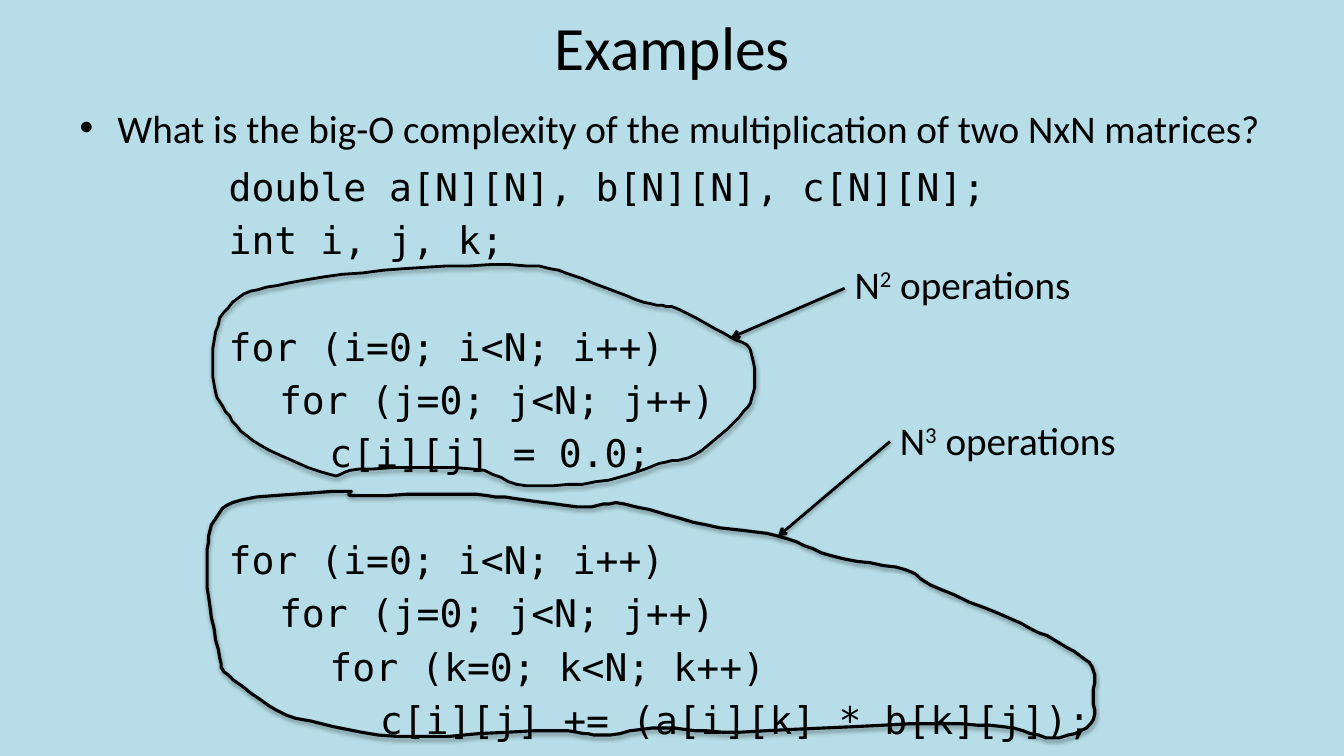
"""Build the slide on the big-O complexity of matrix multiplication."""
from dataclasses import dataclass
from typing import Any, NamedTuple

from lxml.etree import SubElement
from pptx import Presentation
from pptx.dml.color import RGBColor
from pptx.enum.shapes import MSO_CONNECTOR
from pptx.enum.text import MSO_ANCHOR, MSO_AUTO_SIZE, PP_ALIGN
from pptx.oxml.ns import qn
from pptx.util import Pt


class Point(NamedTuple):
    """A place on the page, in points."""
    x: float
    y: float


class Area(NamedTuple):
    """A rectangle on the page, in points."""
    left: float
    top: float
    width: float
    height: float


@dataclass(frozen=True)
class Theme:
    """Colours, fonts and type sizes."""
    background: RGBColor = RGBColor(0xB7, 0xDE, 0xE8)
    ink: RGBColor = RGBColor(0, 0, 0)
    text_font: str = "Calibri"
    code_font: str = "DejaVu Sans Mono"
    title_size: float = 44
    text_size: float = 28
    code_size: float = 27.2


@dataclass(frozen=True)
class CodeLine:
    """One line of code with its nesting depth."""
    text: str
    depth: int = 0
    starts_block: bool = False


@dataclass(frozen=True)
class Loop:
    """Bends of a hand-drawn loop, side by side and anticlockwise from the top right."""
    top: list[tuple[float, float]]
    left: list[tuple[float, float]]
    bottom: list[tuple[float, float]]
    right: list[tuple[float, float]]
    line_width: float

    def bends(self) -> list[Point]:
        """Return the bends of all four sides in drawing order."""
        return [Point(*bend) for bend in self.top + self.left + self.bottom + self.right]


@dataclass(frozen=True)
class Callout:
    """A loop round some code, with the label and arrow that explain it."""
    power: str
    label: Area
    arrow_start: Point
    arrow_tip: Point
    loop: Loop


THEME = Theme()
TITLE_AREA = Area(156.24, -12.24, 648, 90)
QUESTION_AREA = Area(49.68, 70.56, 864, 401.76)
CODE_AREA = Area(156.24, 113.04, 648, 403.92)
BULLET_INDENT = 27
TAB_WIDTH = 36
CODE_PITCH = 38
LINE_GAP = 0.2 * THEME.code_size
BLOCK_GAP = LINE_GAP + CODE_PITCH
STEPS_PER_BEND = 6
ARROW_WIDTH = 2

QUESTION = "What is the big-O complexity of the multiplication of two NxN matrices?"
CODE = [
    CodeLine("double a[N][N], b[N][N], c[N][N];"),
    CodeLine("int i, j, k;"),
    CodeLine("for (i=0; i<N; i++)", starts_block=True),
    CodeLine("for (j=0; j<N; j++)", depth=1),
    CodeLine("c[i][j] = 0.0;", depth=2),
    CodeLine("for (i=0; i<N; i++)", starts_block=True),
    CodeLine("for (j=0; j<N; j++)", depth=1),
    CodeLine("for (k=0; k<N; k++)", depth=2),
    CodeLine("c[i][j] += (a[i][k] * b[k][j]);", depth=3),
]

CLEARING_LOOP = Loop(
    top=[(460, 216), (416, 199), (376, 189.5), (288, 192), (207, 202)],
    left=[(170, 213), (154, 237), (153, 275), (163.5, 297), (186, 318)],
    bottom=[(236, 339), (257, 335), (337, 335), (376, 347), (435, 343), (471, 331), (496, 325)],
    right=[(528, 298), (539, 277), (536, 250), (522, 241), (485, 221)],
    line_width=2,
)
PRODUCT_LOOP = Loop(
    top=[(446, 360), (418, 362), (374, 357), (331, 353), (255, 354), (246, 351), (173, 357)],
    left=[(153, 372), (148, 396), (149, 426), (157, 470), (163, 482), (197, 507)],
    bottom=[(222, 515), (284, 526), (396, 522), (429, 525), (474, 520), (529, 523), (649, 517),
            (716, 519), (752, 527)],
    right=[(779, 517), (781, 495), (780, 476), (758, 460), (722, 442), (665, 418), (647, 407),
           (594, 397), (556, 383), (505, 375)],
    line_width=2.25,
)
CALLOUTS = [
    Callout("2", Area(603.36, 182.16, 177.12, 41.04), Point(603.36, 205.92), Point(522, 241.2),
            CLEARING_LOOP),
    Callout("3", Area(635.76, 293.76, 177.12, 41.04), Point(635.76, 315.36), Point(555.84, 383.04),
            PRODUCT_LOOP),
]


def apply(target: Any, formats: dict[str, Any]) -> None:
    """Set each named attribute on the target."""
    for name, value in formats.items():
        setattr(target, name, value)


def add_span(para: Any, text: str, font: str, size: float) -> Any:
    """Append a run in the ink colour and return it."""
    span = para.add_run()
    span.text = text
    apply(span.font, {"name": font, "size": Pt(size)})
    span.font.color.rgb = THEME.ink
    return span


def add_ink(shape: Any, width: float) -> None:
    """Give a shape or connector its ink line and soft shadow."""
    shape.line.color.rgb = THEME.ink
    shape.line.width = Pt(width)
    effects = SubElement(shape._element.spPr, qn("a:effectLst"))
    shadow = SubElement(effects, qn("a:outerShdw"), blurRad=str(Pt(3.1)), dist=str(Pt(1.6)),
                        dir="5400000", rotWithShape="0")
    colour = SubElement(shadow, qn("a:srgbClr"), val=str(THEME.ink))
    SubElement(colour, qn("a:alpha"), val="38000")


def fill_placeholder(box: Any, area: Area, text: str, size: float, anchor: MSO_ANCHOR) -> Any:
    """Move a placeholder, write its one paragraph and return that paragraph."""
    apply(box, {name: Pt(length) for name, length in area._asdict().items()})
    apply(box.text_frame, {"word_wrap": True, "auto_size": MSO_AUTO_SIZE.NONE,
                           "vertical_anchor": anchor})
    para = box.text_frame.paragraphs[0]
    para.space_before = Pt(0)
    add_span(para, text, THEME.text_font, size)
    return para


def write_headings(page: Any) -> None:
    """Fill the title and the bulleted question."""
    title, body = page.placeholders
    heading = fill_placeholder(title, TITLE_AREA, "Examples", THEME.title_size, MSO_ANCHOR.MIDDLE)
    heading.alignment = PP_ALIGN.CENTER
    question = fill_placeholder(body, QUESTION_AREA, QUESTION, THEME.text_size, MSO_ANCHOR.TOP)
    properties = question._p.get_or_add_pPr()
    properties.set("marL", str(Pt(BULLET_INDENT)))
    properties.set("indent", str(Pt(-BULLET_INDENT)))
    SubElement(properties, qn("a:buChar"), char="•")


def write_code(page: Any, lines: list[CodeLine]) -> None:
    """Write the code listing, tabbed by nesting depth."""
    frame = page.shapes.add_textbox(*map(Pt, CODE_AREA)).text_frame
    frame.word_wrap = True
    deepest = max(line.depth for line in lines)
    for index, line in enumerate(lines):
        para = frame.add_paragraph() if index else frame.paragraphs[0]
        if index:
            para.space_before = Pt(BLOCK_GAP if line.starts_block else LINE_GAP)
        tabs = SubElement(para._p.get_or_add_pPr(), qn("a:tabLst"))
        for depth in range(1, deepest + 1):
            SubElement(tabs, qn("a:tab"), pos=str(Pt(TAB_WIDTH * depth)), algn="l")
        add_span(para, "\t" * line.depth + line.text, THEME.code_font, THEME.code_size)


def spline(before: float, start: float, end: float, after: float, share: float) -> float:
    """Return the Catmull-Rom value at a share of the way from start to end."""
    slope = end - before
    bend = 2 * before - 5 * start + 4 * end - after
    twist = 3 * (start - end) + after - before
    return start + share * (slope + share * (bend + share * twist)) / 2


def smooth(bends: list[Point]) -> list[Point]:
    """Return a smooth closed curve through the bends."""
    curve = []
    for index in range(len(bends)):
        nearby = [bends[(index + shift) % len(bends)] for shift in (-1, 0, 1, 2)]
        for step in range(STEPS_PER_BEND):
            share = step / STEPS_PER_BEND
            curve.append(Point(*(spline(*axis, share) for axis in zip(*nearby))))
    return curve


def draw_loop(shapes: Any, loop: Loop) -> None:
    """Draw the smooth outline of a loop."""
    start, *others = smooth(loop.bends())
    builder = shapes.build_freeform(*start, scale=Pt(1))
    builder.add_line_segments(others, close=True)
    outline = builder.convert_to_shape()
    outline.fill.background()
    add_ink(outline, loop.line_width)


def draw_callout(page: Any, callout: Callout) -> None:
    """Draw a loop, its label and the arrow between them as one group."""
    shapes = page.shapes.add_group_shape().shapes
    draw_loop(shapes, callout.loop)
    frame = shapes.add_textbox(*map(Pt, callout.label)).text_frame
    frame.word_wrap = True
    para = frame.paragraphs[0]
    for text, baseline in (("N", 0), (callout.power, 30000), (" operations", 0)):
        span = add_span(para, text, THEME.text_font, THEME.text_size)
        span._r.get_or_add_rPr().set("baseline", str(baseline))
    ends = map(Pt, callout.arrow_start + callout.arrow_tip)
    arrow = shapes.add_connector(MSO_CONNECTOR.STRAIGHT, *ends)
    add_ink(arrow, ARROW_WIDTH)
    SubElement(arrow._element.spPr.find(qn("a:ln")), qn("a:tailEnd"), type="arrow")


def main() -> None:
    """Build and save the deck."""
    deck = Presentation()
    apply(deck, {"slide_width": Pt(960), "slide_height": Pt(540)})
    page = deck.slides.add_slide(deck.slide_layouts[1])
    page.background.fill.solid()
    page.background.fill.fore_color.rgb = THEME.background
    write_headings(page)
    write_code(page, CODE)
    for callout in CALLOUTS:
        draw_callout(page, callout)
    deck.save("out.pptx")


if __name__ == "__main__":
    main()
